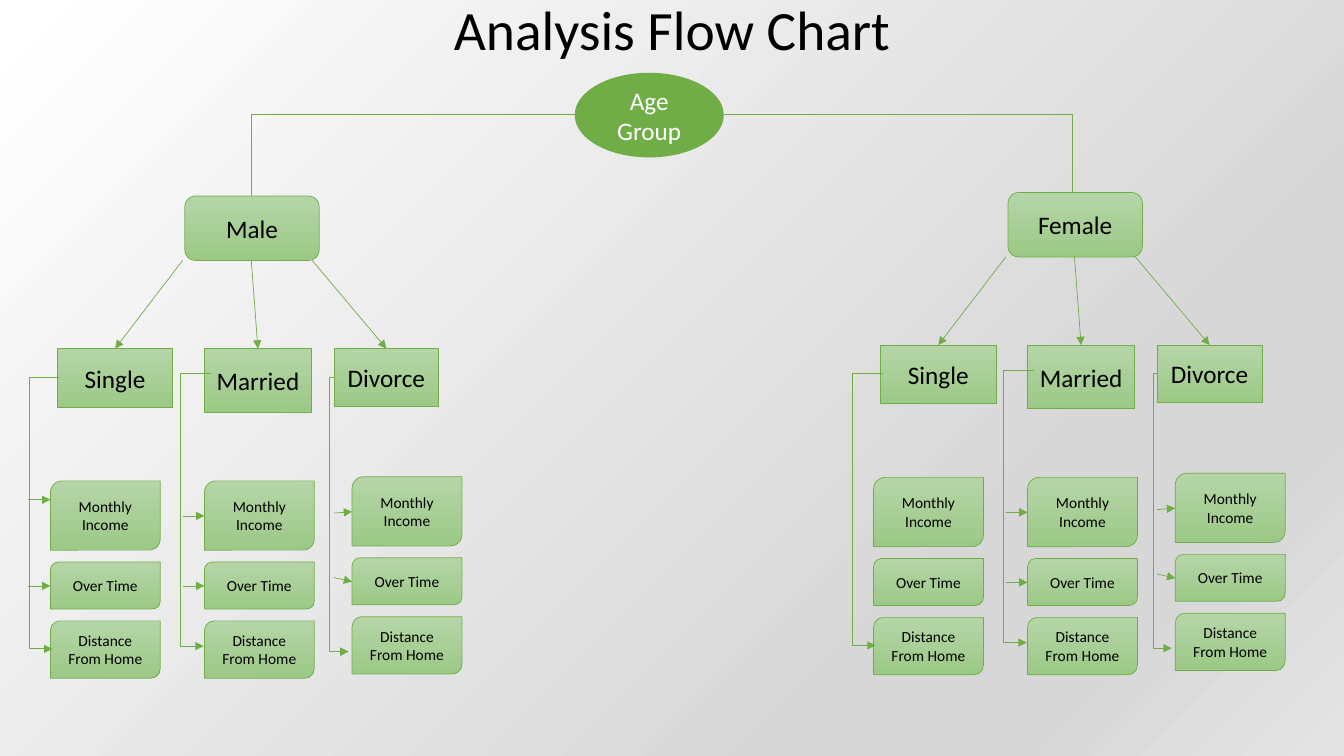
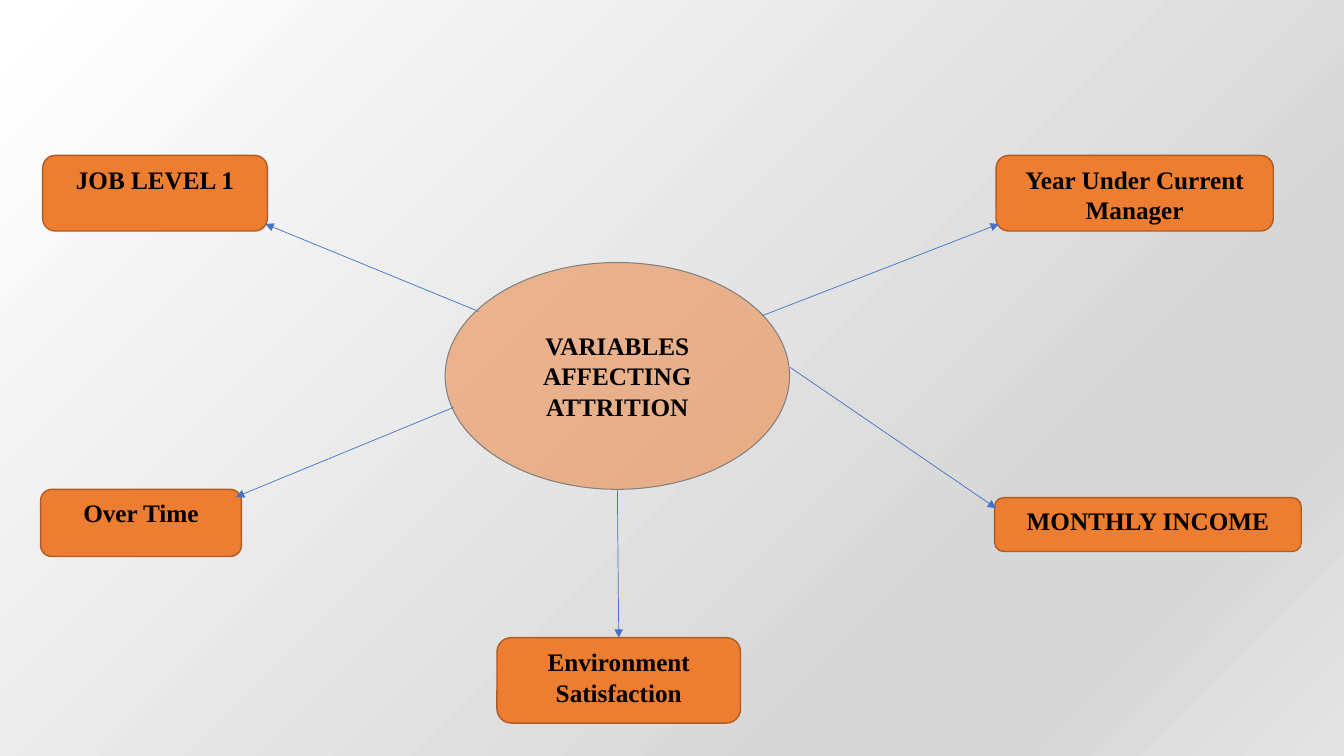
from copy import deepcopy

from lxml.etree import SubElement
from pptx import Presentation
from pptx.dml.color import RGBColor
from pptx.enum.shapes import MSO_CONNECTOR, MSO_SHAPE
from pptx.enum.text import MSO_ANCHOR, PP_ALIGN
from pptx.oxml.ns import qn
from pptx.util import Pt

COLORS = {
    "black": "000000", "white": "FFFFFF", "green": "70AD47",
    "green_light": "B5D5A7", "green_dark": "9CC987",
    "orange": "ED7D31", "orange_line": "AF5C24",
    "blue": "4472C4", "grey": "808080",
}
BACKGROUND = [(0, "FFFFFF"), (0.74, "D7D7D7"), (0.83, "D7D7D7"), (1, "E4E4E4")]
RGB = {name: RGBColor.from_string(value) for name, value in COLORS.items()}


def add_box(slide, text, x, y, w, h, kind=None, fill=None, alpha=None, line=None,
            width=0.5, font="Calibri", size=18, color="black", bold=False,
            anchor=MSO_ANCHOR.MIDDLE, spacing=1):
    """Add a shape with text, or a text box without a kind; a fill pair is a gradient."""
    place = Pt(x), Pt(y), Pt(w), Pt(h)
    if kind is None:
        sp = slide.shapes.add_textbox(*place)
    else:
        sp = slide.shapes.add_shape(kind, *place)
        sp.shadow.inherit = False
        if isinstance(fill, tuple):
            sp.fill.gradient()
            sp.fill.gradient_angle = 270
            for stop, name in zip(sp.fill.gradient_stops, fill):
                stop.color.rgb = RGB[name]
        else:
            sp.fill.solid()
            sp.fill.fore_color.rgb = RGB[fill]
        if alpha:
            clr = sp.element.spPr.find(qn("a:solidFill"))[0]
            SubElement(clr, qn("a:alpha")).set("val", str(alpha * 1000))
        if line:
            sp.line.color.rgb = RGB[line]
            sp.line.width = Pt(width)
        else:
            sp.line.fill.background()
    tf = sp.text_frame
    tf.word_wrap = True
    tf.vertical_anchor = anchor
    p = tf.paragraphs[0]
    p.alignment = PP_ALIGN.CENTER
    p.line_spacing = spacing
    r = p.add_run()
    r.text = text
    r.font.name, r.font.size, r.font.bold = font, Pt(size), bold
    r.font.color.rgb = RGB[color]


def add_line(slide, x1, y1, x2, y2, color="green", trunk=None, arrow=True):
    """Add a straight line, or an elbow whose upright part stands at x = trunk."""
    kind = MSO_CONNECTOR.STRAIGHT if trunk is None else MSO_CONNECTOR.ELBOW
    cxn = slide.shapes.add_connector(kind, Pt(x1), Pt(y1), Pt(x2), Pt(y2))
    cxn.line.color.rgb = RGB[color]
    cxn.line.width = Pt(0.5)
    sp_pr = cxn.element.spPr
    if trunk is not None:
        gd = SubElement(sp_pr.find(".//" + qn("a:avLst")), qn("a:gd"))
        gd.set("name", "adj1")
        gd.set("fmla", f"val {round((trunk - x1) / (x2 - x1) * 100000)}")
    if arrow:
        SubElement(sp_pr.find(qn("a:ln")), qn("a:tailEnd")).set("type", "triangle")
    SubElement(sp_pr, qn("a:effectLst"))


prs = Presentation()
prs.slide_width, prs.slide_height = Pt(960), Pt(540)
blank = prs.slide_layouts[6]

# Shared background
master = prs.slide_master
fill = master.background.fill
fill.gradient()
fill.gradient_angle = 315
gs_lst = master.element.find(".//" + qn("a:gsLst"))
while len(gs_lst) < len(BACKGROUND):
    gs_lst.append(deepcopy(gs_lst[0]))
for stop, (position, value) in zip(fill.gradient_stops, BACKGROUND):
    stop.position = position
    stop.color.rgb = RGBColor.from_string(value)

# Slide 1: flow chart
slide = prs.slides.add_slide(blank)
green = dict(fill=("green_light", "green_dark"), line="green")
add_box(slide, "Analysis Flow Chart", 8.5, -0.5, 943, 50, size=39.6, spacing=0.8)
add_box(slide, "Age Group", 410.5, 52, 106.5, 60.5, MSO_SHAPE.OVAL, fill="green",
        color="white")
add_line(slide, 410.5, 82, 179.5, 140, trunk=179.5, arrow=False)
add_line(slide, 517, 82, 766, 137.5, trunk=766, arrow=False)

BRANCH_Y = 249
# status, box (x, w, h), branch start x, leaf (x, y), trunk x, stem start, stem end, twigs
STATUSES = [
    ("Single", (41, 82.5, 42), 130.5, (36, 343.5), 21, (42.5, 269.5), (37.5, 463.5),
     [(20, 357, 357), (20, 418.5, 418.5)]),
    ("Married", (146, 76.5, 45.5), 179.5, (146, 343.5), 129, (150.5, 267), (145.5, 461.5),
     [(130.5, 368.5, 368.5), (130.5, 418.5, 418.5)]),
    ("Divorce", (238.5, 75, 41), 223, (251.5, 340.5), 235.5, (238.5, 269.5), (249, 465.5),
     [(238.5, 366.5, 365.5), (238.5, 412.5, 415.5)]),
]
# text, offset from the first leaf, height
LEAVES = [("Monthly Income", 0, 49.5), ("Over Time", 58, 33.5),
          ("Distance From Home", 100, 41)]

for gender, dx, dy in [("Male", 0, 0), ("Female", 588, -2.5)]:
    add_box(slide, gender, 132 + dx, 140 + dy, 96, 46, MSO_SHAPE.ROUNDED_RECTANGLE, **green)
    for status, (x, w, h), branch_x, (leaf_x, leaf_y), trunk, start, end, twigs in STATUSES:
        add_box(slide, status, x + dx, BRANCH_Y + dy, w, h, MSO_SHAPE.RECTANGLE, **green)
        add_line(slide, branch_x + dx, 186 + dy, x + w / 2 + dx, BRANCH_Y + dy)
        for text, offset, leaf_h in LEAVES:
            add_box(slide, text, leaf_x + dx, leaf_y + offset + dy, 78.5, leaf_h,
                    MSO_SHAPE.ROUND_2_DIAG_RECTANGLE, size=11, **green)
        add_line(slide, start[0] + dx, start[1] + dy, end[0] + dx, end[1] + dy,
                 trunk=trunk + dx)
        if (gender, status) != ("Female", "Single"):
            for twig_x, y1, y2 in twigs:
                add_line(slide, twig_x + dx, y1 + dy, leaf_x + dx, y2 + dy)

# Slide 2: variables around a hub
slide = prs.slides.add_slide(blank)
serif = dict(font="Times New Roman", bold=True)
add_box(slide, "VARIABLES AFFECTING ATTRITION", 318, 187.5, 246, 162, MSO_SHAPE.OVAL,
        fill="orange", alpha=50, line="grey", width=0.75, **serif)
# text, box, arrow from the hub to the box
VARIABLES = [
    ("JOB LEVEL 1", (30.5, 111, 160.5, 54), (342, 222.5, 189.5, 160)),
    ("Year Under Current Manager", (711.5, 111, 198, 54), (544.5, 225.5, 713.5, 160)),
    ("MONTHLY INCOME", (710.5, 355.5, 219, 38.5), (564.5, 262.5, 711.5, 363)),
    ("Over Time", (29, 349.5, 143.5, 48), (324, 291, 168.5, 355)),
    ("Environment Satisfaction", (355, 455.5, 174, 61), (441, 350, 442, 455.5)),
]
for text, box, arrow in VARIABLES:
    add_box(slide, text, *box, MSO_SHAPE.ROUNDED_RECTANGLE, fill="orange",
            line="orange_line", width=1, anchor=MSO_ANCHOR.TOP, **serif)
    add_line(slide, *arrow, color="blue")

prs.save("out.pptx")
